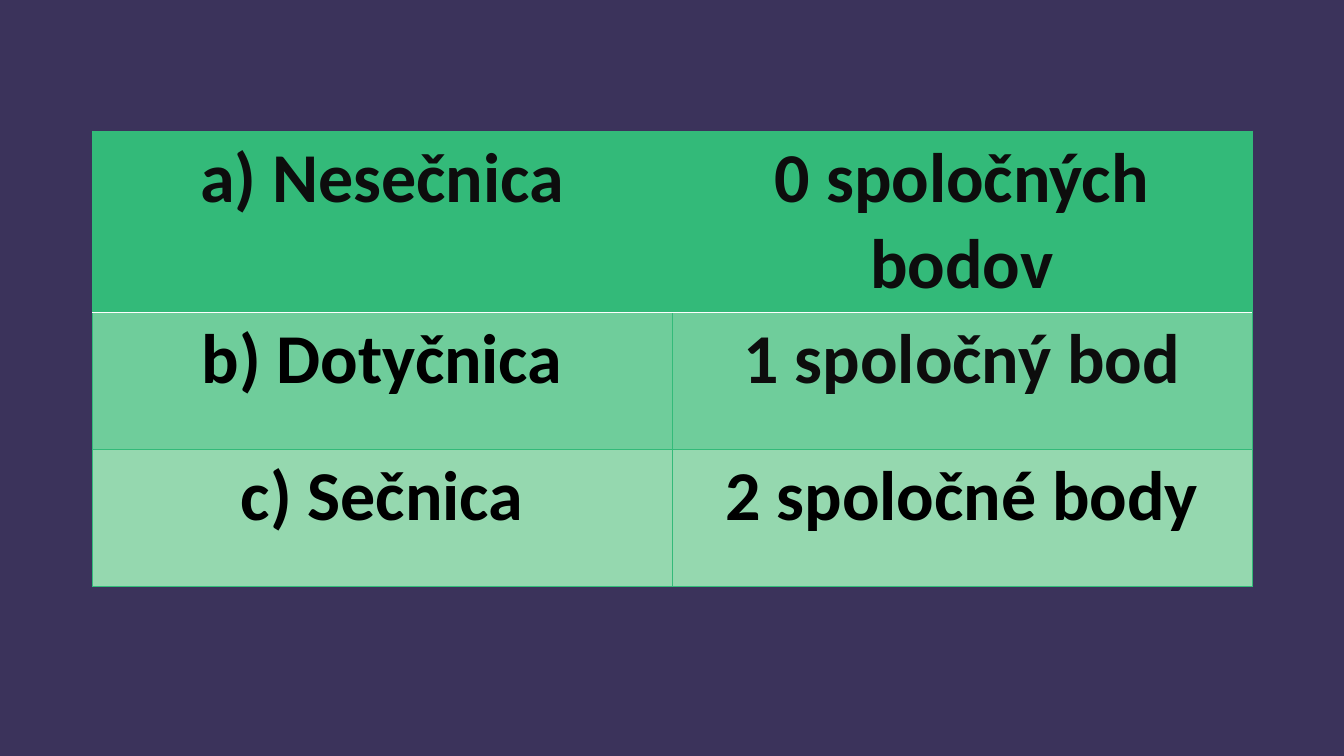
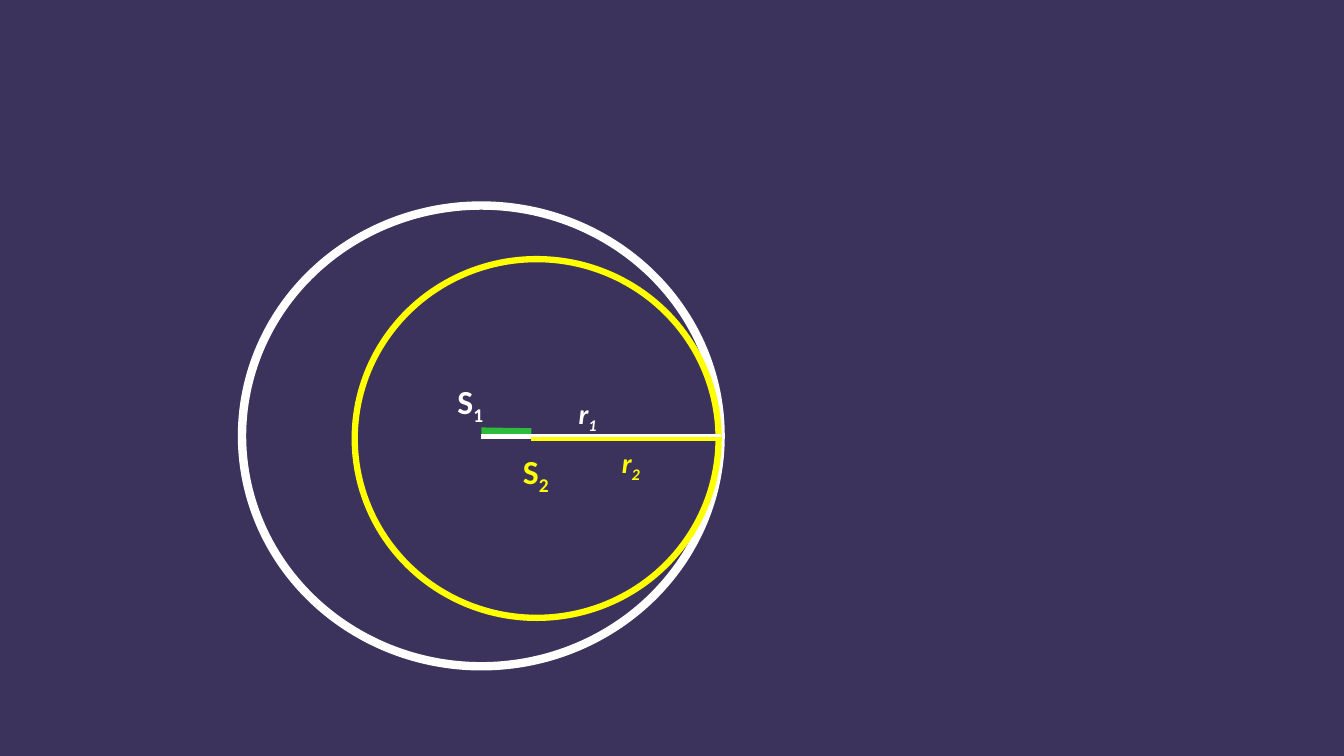
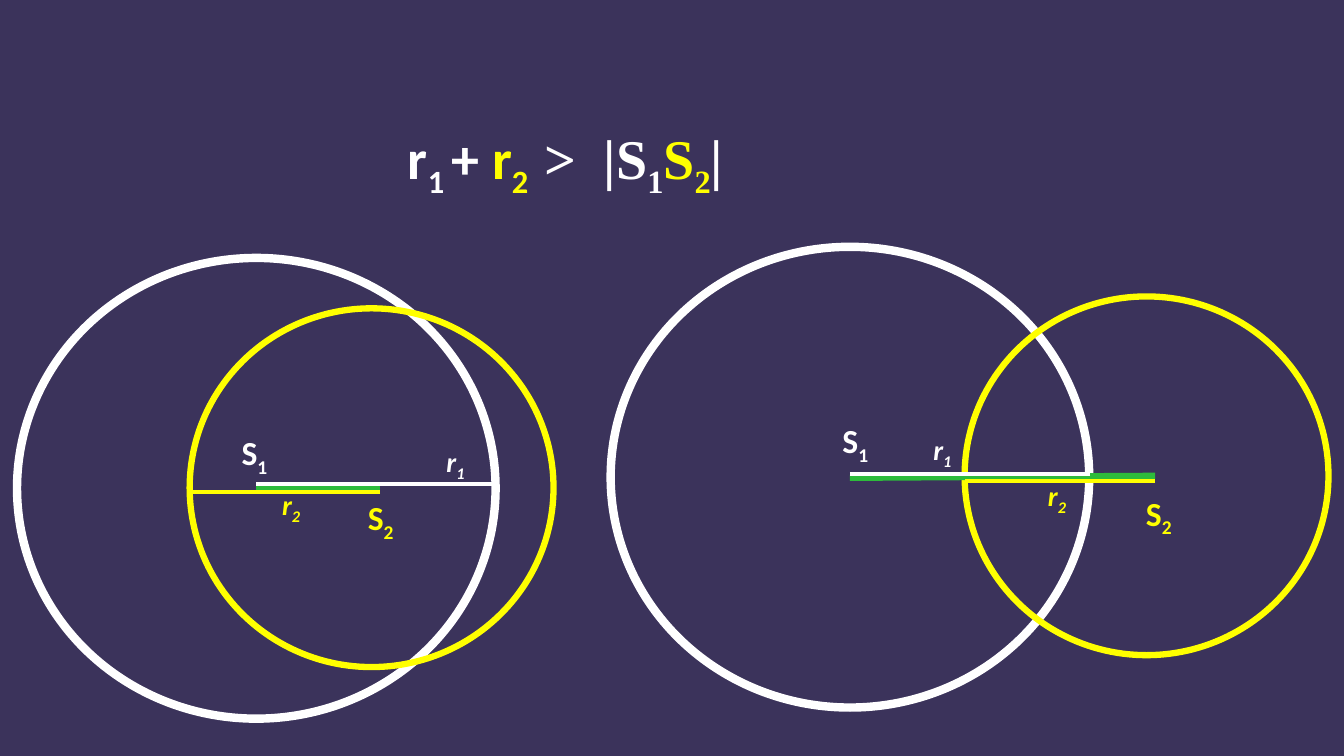
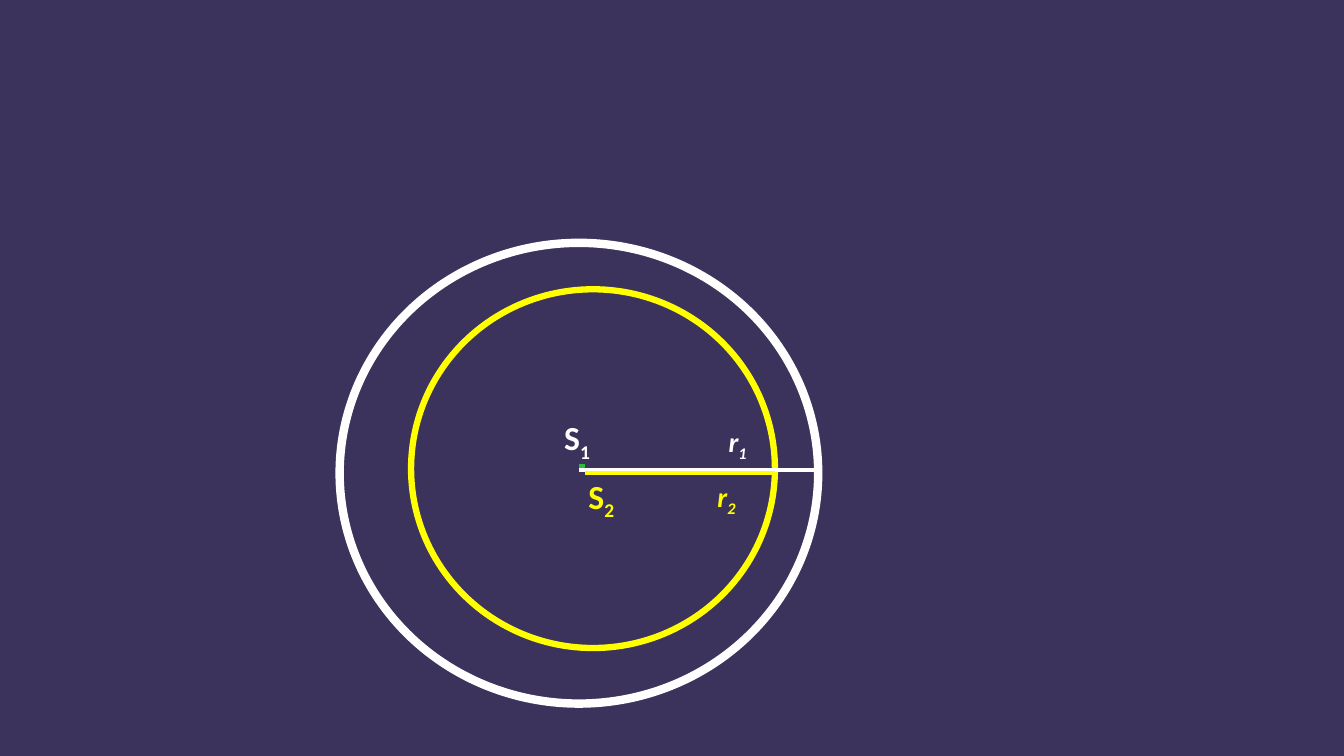
from lxml.etree import SubElement
from pptx import Presentation
from pptx.dml.color import RGBColor
from pptx.enum.shapes import MSO_CONNECTOR, MSO_SHAPE
from pptx.enum.text import MSO_AUTO_SIZE, PP_ALIGN
from pptx.oxml.ns import qn
from pptx.util import Cm, Pt

BACKGROUND, WHITE, YELLOW = "3B335B", "FFFFFF", "FFFF00"
DISTANCE_GREEN, TABLE_GREEN = "2DBB3B", "33BA79"
SANS, SERIF = "Calibri", "Times New Roman"

# Lengths below are centimetres.
BIG_SIZE, SMALL_SIZE = (12.06, 11.61), (9.17, 9.04)
RADIUS_1, RADIUS_2 = 6.04, 4.8

TABLE_BOX = (2.33, 3.3, 29.22, 10.36)
TABLE_ROWS = [
    # fill, then (text, colour) for each cell
    (TABLE_GREEN, [("a) Nesečnica", "0D0D0D"), ("0 spoločných bodov", "0D0D0D")]),
    ("6FCD9B", [("b) Dotyčnica", "000000"), ("1 spoločný bod", "0D0D0D")]),
    ("95D8AF", [("c) Sečnica", "000000"), ("2 spoločné body", "000000")]),
]

INNER_TOUCH = {
    "big": (6.1, 5.18), "small": (8.94, 6.53),
    "distance_y": (10.85, 10.87), "radius_y": (11, 11.07),
    "center_2_x": 13.39, "radius_2_direction": 1,
    "S1": (11.28, 9.47), "S2": (12.93, 11.23),
    "r1": (14.33, 9.86), "r2": (15.42, 11.1),
}
CROSSING_OUTSIDE = {
    "big": (15.39, 6.22), "small": (24.31, 7.47),
    "distance_y": (12.04, 11.99), "radius_y": (11.94, 12.12),
    "center_2_x": 29.11, "radius_2_direction": -1,
    "S1": (20.98, 10.46), "S2": (28.63, 12.29),
    "r1": (23.27, 10.77), "r2": (26.16, 11.94),
}
CROSSING_INSIDE = {
    "big": (0.43, 6.5), "small": (4.78, 7.77),
    "distance_y": (12.29, 12.29), "radius_y": (12.19, 12.4),
    "center_2_x": 9.58, "radius_2_direction": -1,
    "S1": (5.84, 10.77), "S2": (9.02, 12.4),
    "r1": (11, 11.07), "r2": (6.86, 12.17),
}
ONE_INSIDE = {
    "big": (8.56, 6.12), "small": (10.36, 7.29),
    "distance_y": (11.76, 11.76), "radius_y": (11.84, 11.91),
    "center_2_x": 14.73, "radius_2_direction": 1,
    "S1": (13.97, 10.39), "S2": (14.58, 11.86),
    "r1": (18.11, 10.57), "r2": (17.83, 11.96),
}

LABELS = [
    # letter, index, box size, text size, colour, italic
    ("S", "1", (1.63, 1.27), 24, WHITE, False),
    ("S", "2", (1.8, 1.27), 24, YELLOW, False),
    ("r", "1", (2.21, 1.12), 20, WHITE, True),
    ("r", "2", (1.24, 1.12), 20, YELLOW, True),
]

FORMULA_BOX = (10.03, 3, 16.94, 1.96)
FORMULA = [
    # text, font, colour, subscript, extra spacing in points
    ("r", SANS, WHITE, False, 0),
    ("1 ", SANS, WHITE, True, 0),
    ("+ ", SANS, WHITE, False, 0),
    ("r", SANS, YELLOW, False, 0),
    ("2", SANS, YELLOW, True, 0),
    (" ", SANS, YELLOW, True, 6),
    (">", SERIF, WHITE, False, 0),
    (" ", SERIF, WHITE, False, 10),
    ("|S", SERIF, WHITE, False, 0),
    ("1", SERIF, WHITE, True, 0),
    ("S", SERIF, YELLOW, False, 0),
    ("2", SERIF, YELLOW, True, 0),
    ("|", SERIF, WHITE, False, 0),
]


def color(value):
    return RGBColor.from_string(value)


def centimetres(*lengths):
    return [Cm(length) for length in lengths]


def add_run(paragraph, text, size, text_color, font=SANS, italic=False,
            subscript=False, spacing=0):
    run = paragraph.add_run()
    run.text = text
    run.font.name = font
    run.font.size = Pt(size)
    run.font.bold = True
    run.font.italic = italic
    run.font.color.rgb = color(text_color)
    properties = run._r.get_or_add_rPr()
    if subscript:
        properties.set("baseline", "-25000")
    if spacing:
        properties.set("spc", str(spacing * 100))


def add_text_box(slide, box):
    """Add a growing text box and return its first paragraph."""
    frame = slide.shapes.add_textbox(*centimetres(*box)).text_frame
    frame.word_wrap = True
    frame.auto_size = MSO_AUTO_SIZE.SHAPE_TO_FIT_TEXT
    return frame.paragraphs[0]


def add_circle(slide, position, size, line_color, width):
    circle = slide.shapes.add_shape(MSO_SHAPE.OVAL, *centimetres(*position, *size))
    circle.shadow.inherit = False
    circle.fill.background()
    circle.line.color.rgb = color(line_color)
    circle.line.width = Pt(width)


def add_line(slide, start, end, line_color, width):
    line = slide.shapes.add_connector(MSO_CONNECTOR.STRAIGHT, *centimetres(*start, *end))
    line.line.color.rgb = color(line_color)
    line.line.width = Pt(width)
    SubElement(line._element.spPr, qn("a:effectLst"))


def add_circle_pair(slide, pair):
    """Draw two circles, their radii, the distance of their centres and the labels."""
    add_circle(slide, pair["big"], BIG_SIZE, WHITE, 6)
    add_circle(slide, pair["small"], SMALL_SIZE, YELLOW, 4.5)

    center_1_x = pair["big"][0] + BIG_SIZE[0] / 2
    center_2_x = pair["center_2_x"]
    start_y, end_y = pair["distance_y"]
    add_line(slide, (center_1_x, start_y), (center_2_x, end_y), DISTANCE_GREEN, 4.5)

    radius_1_y, radius_2_y = pair["radius_y"]
    radius_2_end = center_2_x + pair["radius_2_direction"] * RADIUS_2
    add_line(slide, (center_1_x, radius_1_y), (center_1_x + RADIUS_1, radius_1_y), WHITE, 3)
    add_line(slide, (center_2_x, radius_2_y), (radius_2_end, radius_2_y), YELLOW, 3)

    for letter, index, box_size, size, text_color, italic in LABELS:
        paragraph = add_text_box(slide, (*pair[letter + index], *box_size))
        add_run(paragraph, letter, size, text_color, italic=italic)
        add_run(paragraph, index, size, text_color, italic=italic, subscript=True)


def set_borders(cell, **borders):
    """Set each named border (lnL, lnR, lnT, lnB) to a colour and a width in points."""
    properties = cell._tc.get_or_add_tcPr()
    for position, (side, (line_color, width)) in enumerate(borders.items()):
        border = properties.makeelement(qn("a:" + side), {"w": str(Pt(width))})
        fill = SubElement(border, qn("a:solidFill"))
        SubElement(fill, qn("a:srgbClr"), val=line_color)
        properties.insert(position, border)


def add_position_table(slide):
    table = slide.shapes.add_table(len(TABLE_ROWS), 2, *centimetres(*TABLE_BOX)).table
    table.first_row = False
    table.horz_banding = False
    thin, header_rule = (TABLE_GREEN, 0.5), (WHITE, 1)
    for row_index, (fill_color, texts) in enumerate(TABLE_ROWS):
        for column_index, (text, text_color) in enumerate(texts):
            cell = table.cell(row_index, column_index)
            cell.fill.solid()
            cell.fill.fore_color.rgb = color(fill_color)
            set_borders(cell, lnL=thin, lnR=thin,
                        lnT=header_rule if row_index == 1 else thin,
                        lnB=header_rule if row_index == 0 else thin)
            paragraph = cell.text_frame.paragraphs[0]
            paragraph.alignment = PP_ALIGN.CENTER
            add_run(paragraph, text, 50, text_color)


def add_formula(slide):
    paragraph = add_text_box(slide, FORMULA_BOX)
    for text, font, text_color, subscript, spacing in FORMULA:
        add_run(paragraph, text, 40, text_color, font, False, subscript, spacing)


def main():
    presentation = Presentation()
    presentation.slide_width, presentation.slide_height = centimetres(33.87, 19.05)
    background = presentation.slide_master.background.fill
    background.solid()
    background.fore_color.rgb = color(BACKGROUND)
    blank = presentation.slide_layouts[6]

    add_position_table(presentation.slides.add_slide(blank))
    for pairs in ([INNER_TOUCH], [CROSSING_OUTSIDE, CROSSING_INSIDE], [ONE_INSIDE]):
        slide = presentation.slides.add_slide(blank)
        for pair in pairs:
            add_circle_pair(slide, pair)
        if len(pairs) == 2:
            add_formula(slide)

    presentation.save("out.pptx")


if __name__ == "__main__":
    main()
